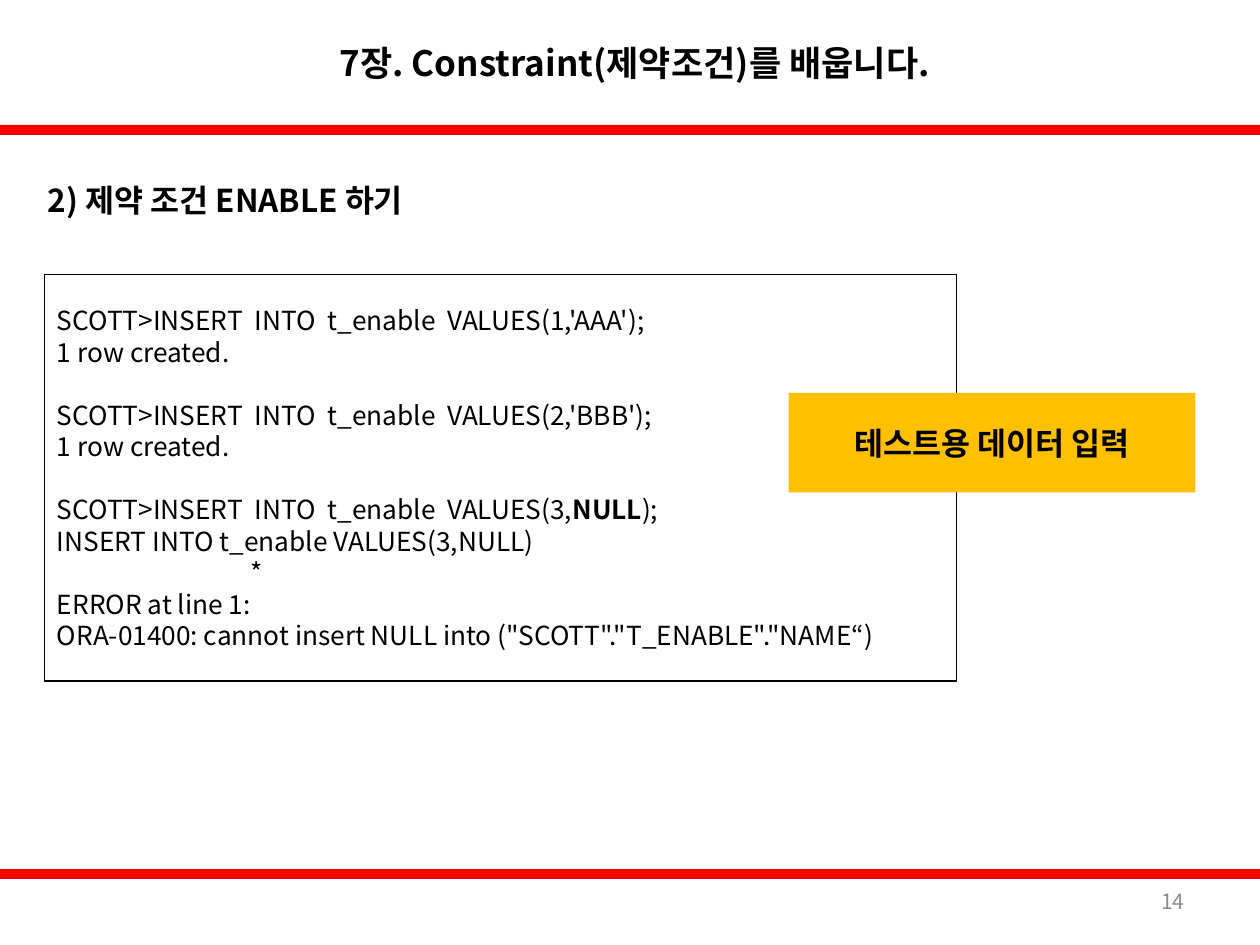
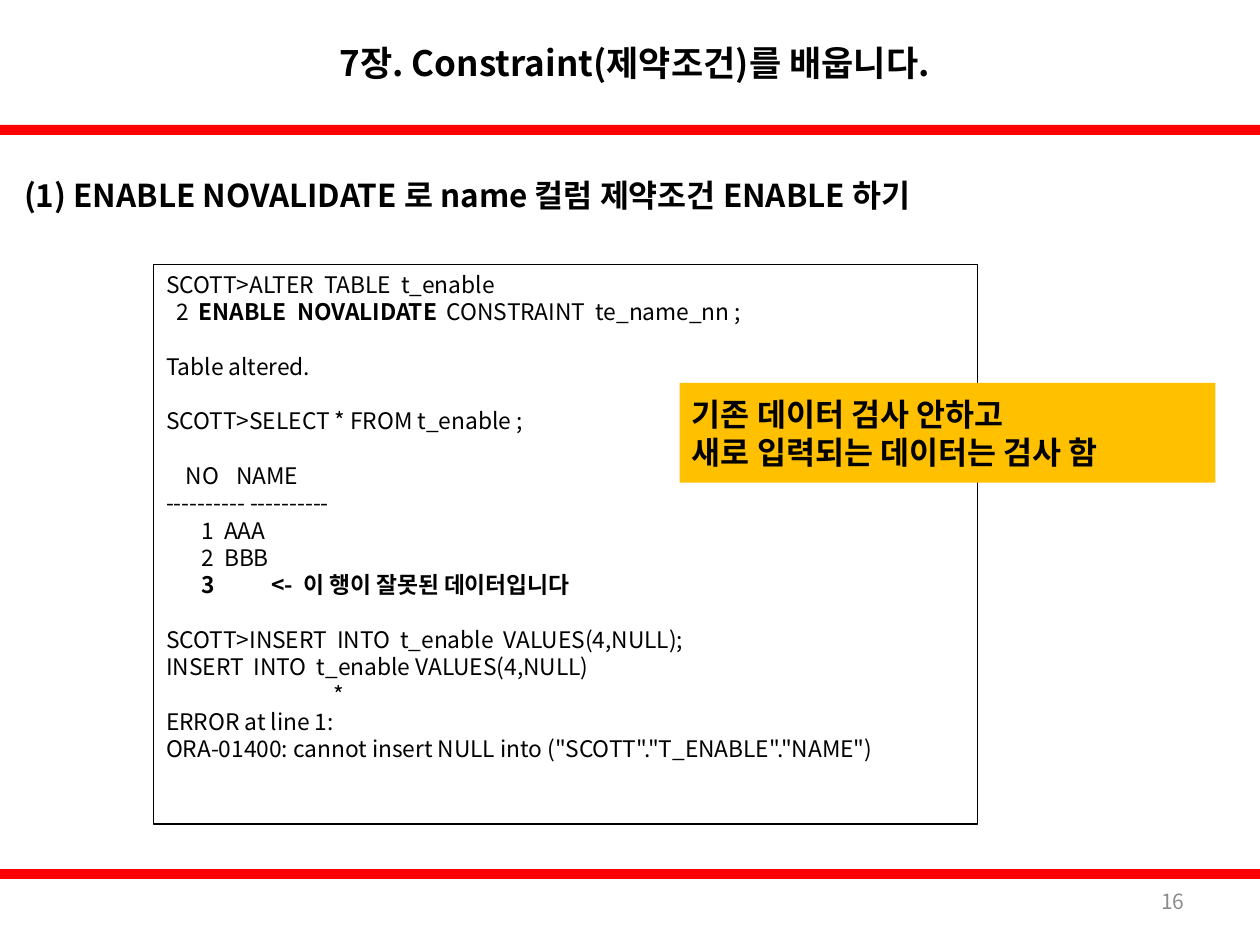
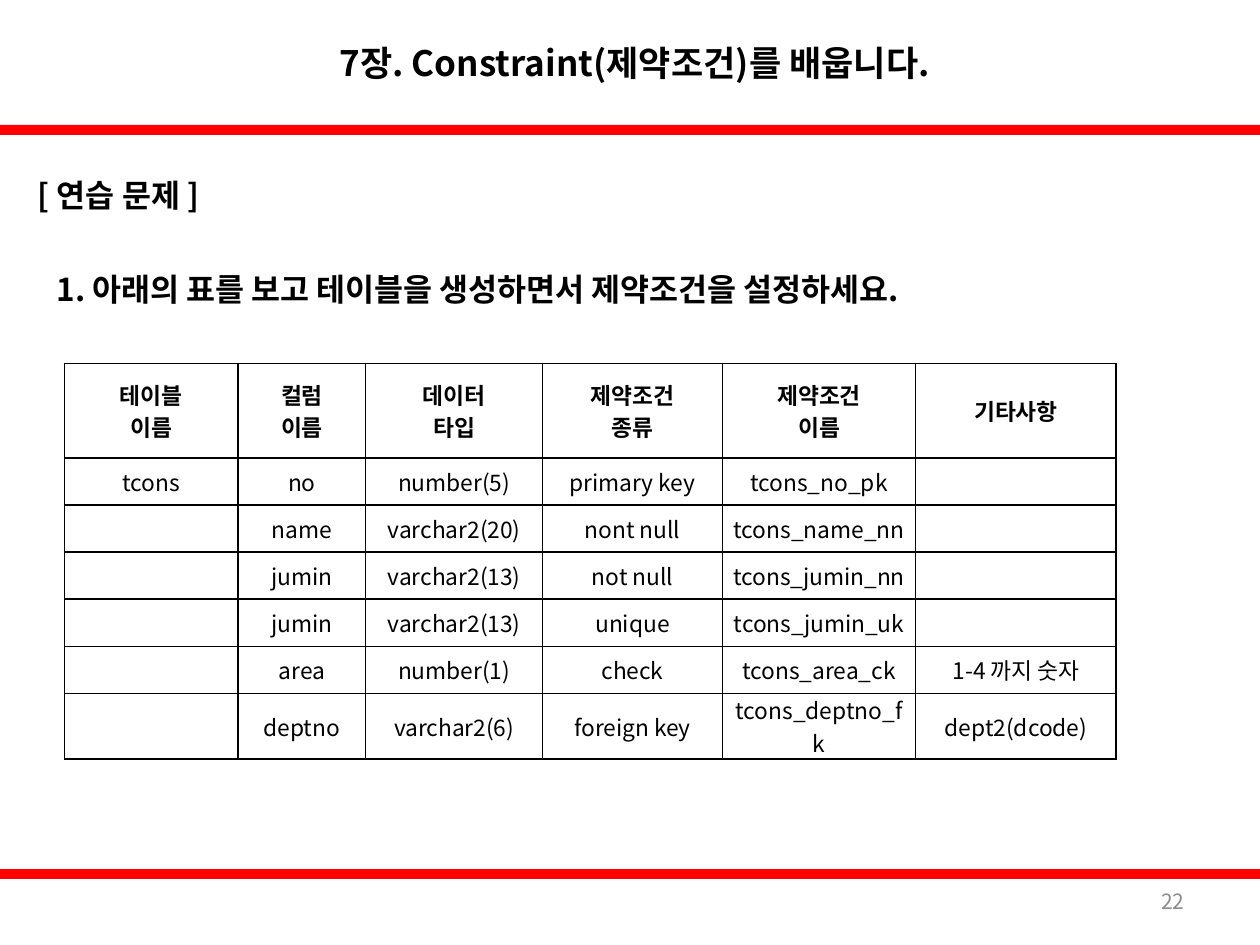
from dataclasses import dataclass
from typing import NamedTuple

from lxml import etree
from pptx import Presentation
from pptx.dml.color import RGBColor
from pptx.enum.shapes import MSO_SHAPE
from pptx.enum.text import MSO_ANCHOR, MSO_AUTO_SIZE, PP_ALIGN
from pptx.oxml.ns import qn
from pptx.util import Cm, Pt

RECT = MSO_SHAPE.RECTANGLE
TOP, MIDDLE = MSO_ANCHOR.TOP, MSO_ANCHOR.MIDDLE
LEFT, CENTER = PP_ALIGN.LEFT, PP_ALIGN.CENTER
RIGHT, JUSTIFY = PP_ALIGN.RIGHT, PP_ALIGN.JUSTIFY
NO_AUTOFIT = MSO_AUTO_SIZE.NONE

BLACK = RGBColor(0x00, 0x00, 0x00)
WHITE = RGBColor(0xFF, 0xFF, 0xFF)
RED = RGBColor(0xFF, 0x00, 0x00)
AMBER = RGBColor(0xFF, 0xC0, 0x00)
GRAY = RGBColor(0x8C, 0x8C, 0x8C)

FONT = "Noto Sans CJK KR"
CHAPTER = "7장. Constraint(제약조건)를 배웁니다."
CODE_LINE_HEIGHT = 1.2


class Box(NamedTuple):
    """Left, top, width and height in centimetres."""
    left: float
    top: float
    width: float
    height: float

    def lengths(self) -> list:
        return [Cm(value) for value in self]


@dataclass
class Line:
    """One line of console output; the tab is measured from the indent."""
    text: str = ""
    bold: str = ""
    tail: str = ""
    indent: float = 0
    tab: float = 0
    gap: bool = False


@dataclass
class Console:
    box: Box
    size: int
    anchor: MSO_ANCHOR
    lines: list[Line]


@dataclass
class Label:
    box: Box
    text: str
    align: PP_ALIGN


BANDS = [Box(0, top, 25.4, 0.2) for top in (2.52, 17.52)]
TITLE_BOX = Box(4.3, 0, 16.99, 2.52)
NUMBER_BOX = Box(18.21, 17.65, 5.92, 1.02)

INSERT_CONSOLE = Console(Box(0.9, 5.53, 18.39, 8.2), 15, MIDDLE, [
    Line("SCOTT>INSERT  INTO  t_enable  VALUES(1,'AAA');"),
    Line("1 row created."),
    Line("SCOTT>INSERT  INTO  t_enable  VALUES(2,'BBB');", gap=True),
    Line("1 row created."),
    Line("SCOTT>INSERT  INTO  t_enable  VALUES(3,", "NULL", ");", gap=True),
    Line("INSERT INTO t_enable VALUES(3,NULL)"),
    Line("*", indent=3.9),
    Line("ERROR at line 1:"),
    Line('ORA-01400: cannot insert NULL into ("SCOTT"."T_ENABLE"."NAME“)'),
])
INSERT_LABEL = Label(Box(15.9, 7.92, 8.2, 2.01), "테스트용 데이터 입력", CENTER)

NOVALIDATE_CONSOLE = Console(Box(3.1, 5.33, 16.61, 11.28), 13, TOP, [
    Line("SCOTT>ALTER  TABLE  t_enable"),
    Line("2  ", "ENABLE  NOVALIDATE", "  CONSTRAINT  te_name_nn ;", indent=0.2),
    Line("Table altered.", gap=True),
    Line("SCOTT>SELECT * FROM t_enable ;", gap=True),
    Line("NO\tNAME", indent=0.4, tab=1.01, gap=True),
    Line("---------- ----------"),
    Line("1\tAAA", indent=0.71, tab=0.46),
    Line("2\tBBB", indent=0.71, tab=0.46),
    Line(bold="3\t<-  이 행이 잘못된 데이터입니다", indent=0.71, tab=1.41),
    Line("SCOTT>INSERT  INTO  t_enable  VALUES(4,NULL);", gap=True),
    Line("INSERT  INTO  t_enable VALUES(4,NULL)"),
    Line("*", indent=3.37),
    Line("ERROR at line 1:"),
    Line('ORA-01400: cannot insert NULL into ("SCOTT"."T_ENABLE"."NAME")'),
])
NOVALIDATE_LABEL = Label(
    Box(13.7, 7.72, 10.8, 2.01),
    "기존 데이터 검사 안하고\n새로 입력되는 데이터는 검사 함", LEFT)

QUESTION = "1. 아래의 표를 보고 테이블을 생성하면서 제약조건을 설정하세요."
QUESTION_BOX = Box(0.89, 5.13, 22.2, 1.4)
TABLE_BOX = Box(1.3, 7.33, 21.2, 7.6)
COLUMN_WIDTHS = [3.5, 2.57, 3.57, 3.62, 3.9, 4.04]
HEADER_HEIGHT, ROW_HEIGHT = 1.9, 0.95
CONSTRAINTS = [
    ["테이블\n이름", "컬럼\n이름", "데이터\n타입", "제약조건\n종류", "제약조건\n이름", "기타사항"],
    ["tcons", "no", "number(5)", "primary key", "tcons_no_pk", ""],
    ["", "name", "varchar2(20)", "nont null", "tcons_name_nn", ""],
    ["", "jumin", "varchar2(13)", "not null", "tcons_jumin_nn", ""],
    ["", "jumin", "varchar2(13)", "unique", "tcons_jumin_uk", ""],
    ["", "area", "number(1)", "check", "tcons_area_ck", "1-4 까지 숫자"],
    ["", "deptno", "varchar2(6)", "foreign key", "tcons_deptno_fk", "dept2(dcode)"],
]


def format_run(r, size: int, bold: bool = False, color: RGBColor = BLACK) -> None:
    """Give a run its look, with the same font for Latin and Korean."""
    r.font.size = Pt(size)
    r.font.bold = bold
    r.font.color.rgb = color
    r.font.name = FONT
    etree.SubElement(r.font._element, qn("a:ea"), typeface=FONT)


def format_text(tf, text: str, size: int, align: PP_ALIGN, bold: bool = True,
                color: RGBColor = BLACK) -> None:
    tf.text = text
    for p in tf.paragraphs:
        p.alignment = align
        p.space_before = Pt(0)
        for r in p.runs:
            format_run(r, size, bold, color)


def prepare_frame(tf, anchor: MSO_ANCHOR = MIDDLE) -> None:
    tf.word_wrap = True
    tf.auto_size = NO_AUTOFIT
    tf.vertical_anchor = anchor


def place(sp, box: Box) -> None:
    sp.left, sp.top, sp.width, sp.height = box.lengths()


def add_rect(slide, box: Box, fill: RGBColor):
    sp = slide.shapes.add_shape(RECT, *box.lengths())
    sp.shadow.inherit = False
    sp.fill.solid()
    sp.fill.fore_color.rgb = fill
    sp.line.fill.background()
    return sp


def add_text(slide, box: Box, text: str, size: int, align: PP_ALIGN,
             bold: bool = True, color: RGBColor = BLACK) -> None:
    tf = slide.shapes.add_textbox(*box.lengths()).text_frame
    prepare_frame(tf)
    format_text(tf, text, size, align, bold, color)


def add_chapter_slide(prs, number: int, heading: str, heading_box: Box):
    """Add a slide with the chapter title, bands, page number and heading."""
    slide = prs.slides.add_slide(prs.slide_layouts[1])
    for band in BANDS:
        add_rect(slide, band, RED)

    title, body = slide.shapes.title, slide.placeholders[1]
    for sp, box, text, size, align in (
            (title, TITLE_BOX, CHAPTER, 20, CENTER),
            (body, heading_box, heading, 18, LEFT)):
        place(sp, box)
        prepare_frame(sp.text_frame)
        format_text(sp.text_frame, text, size, align)
    pPr = body.text_frame.paragraphs[0]._p.get_or_add_pPr()
    pPr.set("marL", "0")
    pPr.set("indent", "0")
    etree.SubElement(pPr, qn("a:buNone"))

    add_text(slide, NUMBER_BOX, str(number), 12, RIGHT, bold=False, color=GRAY)
    return slide


def add_console(slide, console: Console) -> None:
    sp = add_rect(slide, console.box, WHITE)
    sp.line.color.rgb = BLACK
    sp.line.width = Pt(0.75)
    tf = sp.text_frame
    prepare_frame(tf, console.anchor)
    for i, line in enumerate(console.lines):
        p = tf.paragraphs[0] if i == 0 else tf.add_paragraph()
        p.alignment = JUSTIFY
        if line.gap:
            p.space_before = Pt(console.size * CODE_LINE_HEIGHT)
        pPr = p._p.get_or_add_pPr()
        pPr.set("marL", str(Cm(line.indent)))
        if line.tab:
            tabs = etree.SubElement(pPr, qn("a:tabLst"))
            etree.SubElement(tabs, qn("a:tab"), pos=str(Cm(line.tab)), algn="l")
        for text, bold in ((line.text, False), (line.bold, True), (line.tail, False)):
            if text:
                r = p.add_run()
                r.text = text
                format_run(r, console.size, bold)


def add_label(slide, label: Label) -> None:
    tf = add_rect(slide, label.box, AMBER).text_frame
    prepare_frame(tf)
    format_text(tf, label.text, 18, label.align)


def add_borders(cell) -> None:
    tcPr = cell._tc.get_or_add_tcPr()
    for i, side in enumerate(("a:lnL", "a:lnR", "a:lnT", "a:lnB")):
        ln = etree.Element(qn(side), w=str(Pt(1)))
        fill = etree.SubElement(ln, qn("a:solidFill"))
        etree.SubElement(fill, qn("a:srgbClr"), val=str(BLACK))
        tcPr.insert(i, ln)


def add_constraint_table(slide) -> None:
    table = slide.shapes.add_table(
        len(CONSTRAINTS), len(COLUMN_WIDTHS), *TABLE_BOX.lengths()).table
    table.first_row = table.horz_banding = False
    for column, width in zip(table.columns, COLUMN_WIDTHS):
        column.width = Cm(width)
    for i, (row, texts) in enumerate(zip(table.rows, CONSTRAINTS)):
        row.height = Cm(ROW_HEIGHT if i else HEADER_HEIGHT)
        for cell, text in zip(row.cells, texts):
            cell.fill.solid()
            cell.fill.fore_color.rgb = WHITE
            cell.vertical_anchor = MIDDLE
            cell.margin_left = cell.margin_right = Cm(0.18)
            cell.margin_top = cell.margin_bottom = 0
            format_text(cell.text_frame, text, 13, CENTER, bold=i == 0)
            add_borders(cell)


def main() -> None:
    prs = Presentation()
    prs.slide_width, prs.slide_height = Cm(25.4), Cm(19.05)

    slide = add_chapter_slide(
        prs, 14, "2) 제약 조건 ENABLE 하기", Box(0.71, 3.33, 22.4, 1.4))
    add_console(slide, INSERT_CONSOLE)
    add_label(slide, INSERT_LABEL)

    slide = add_chapter_slide(
        prs, 16, "(1) ENABLE NOVALIDATE 로 name 컬럼 제약조건 ENABLE 하기",
        Box(0.23, 3.12, 23.85, 1.6))
    add_console(slide, NOVALIDATE_CONSOLE)
    add_label(slide, NOVALIDATE_LABEL)

    slide = add_chapter_slide(prs, 22, "[ 연습 문제 ]", Box(0.51, 3.12, 7.8, 1.6))
    add_constraint_table(slide)
    add_text(slide, QUESTION_BOX, QUESTION, 18, LEFT)

    prs.save("out.pptx")


if __name__ == "__main__":
    main()
